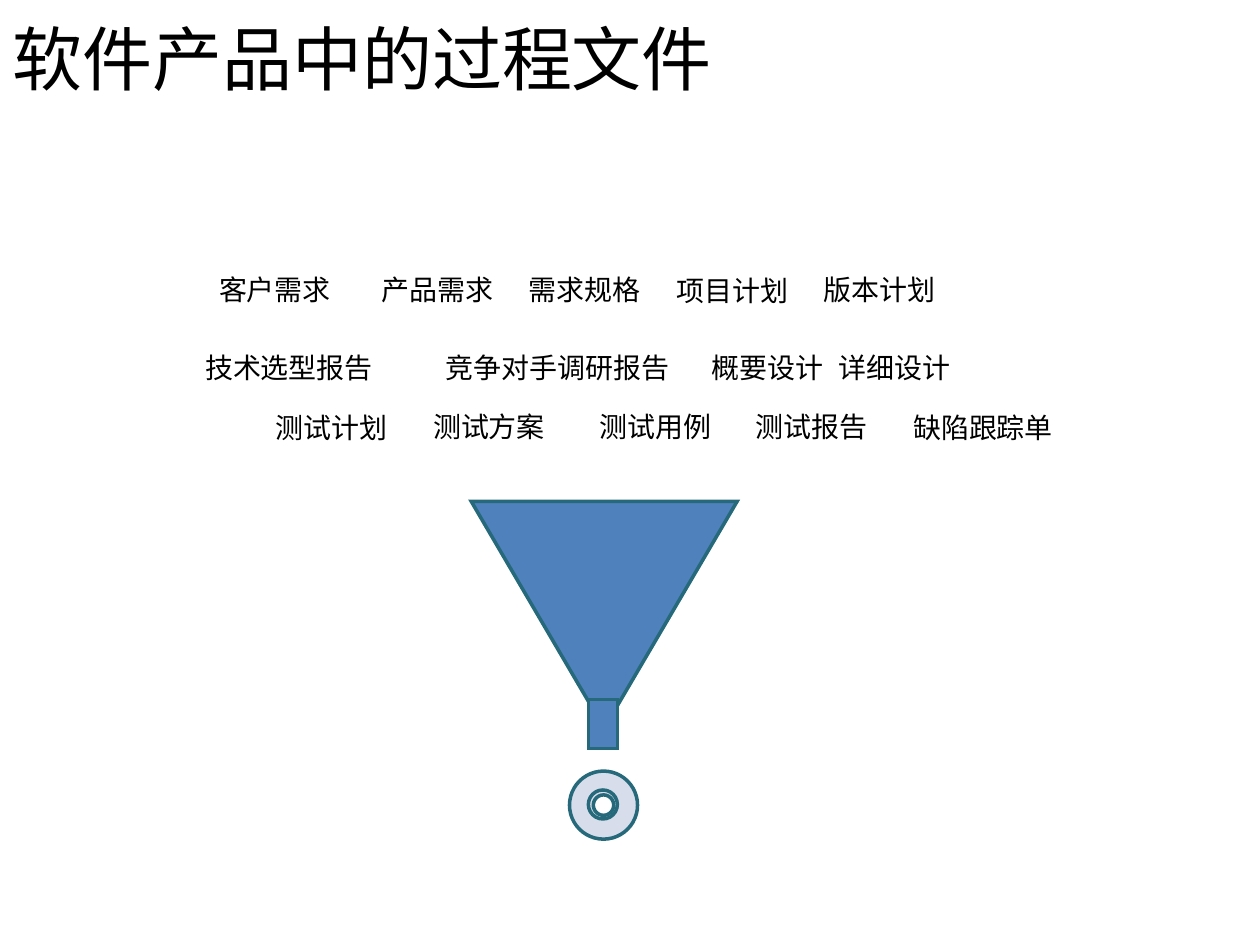
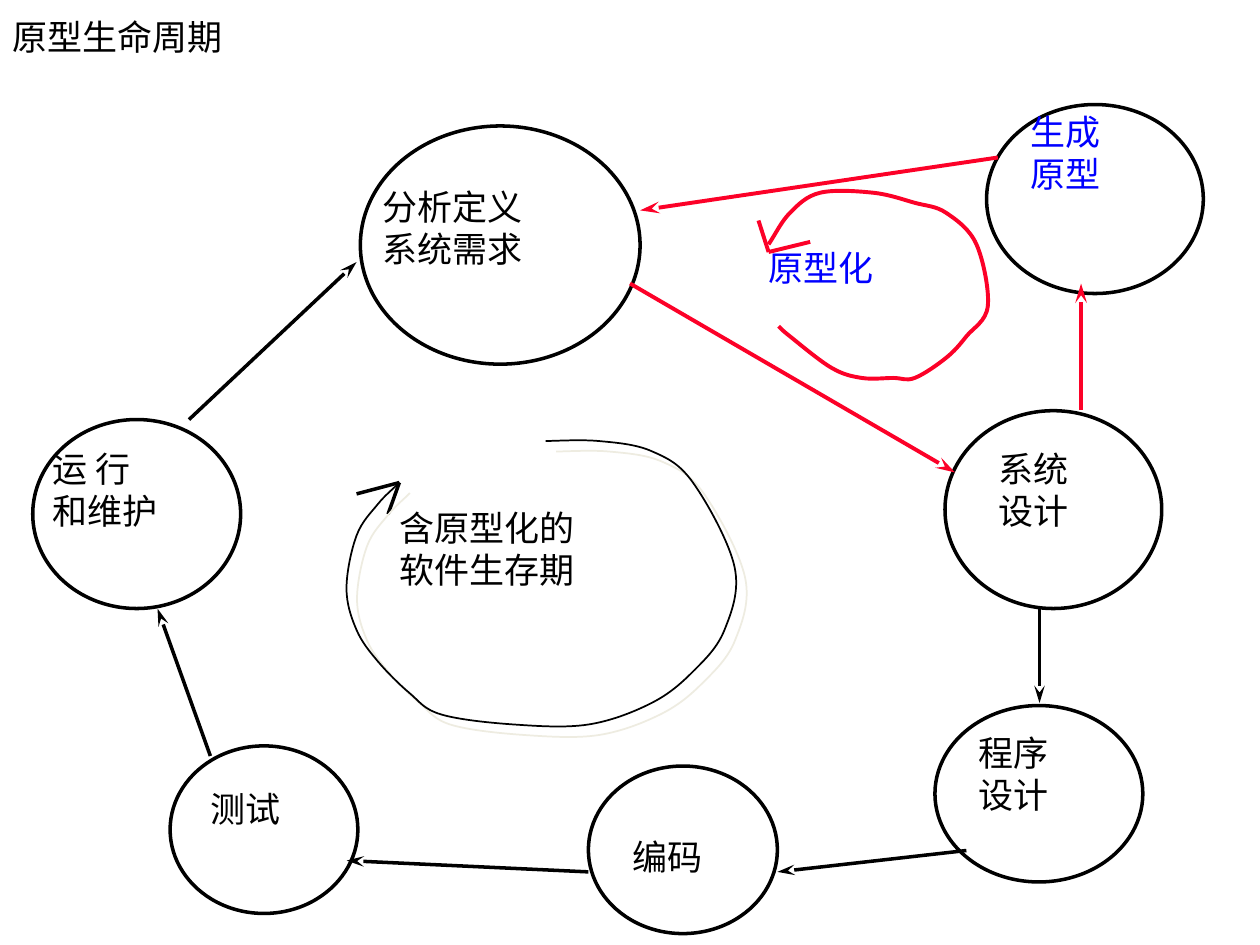
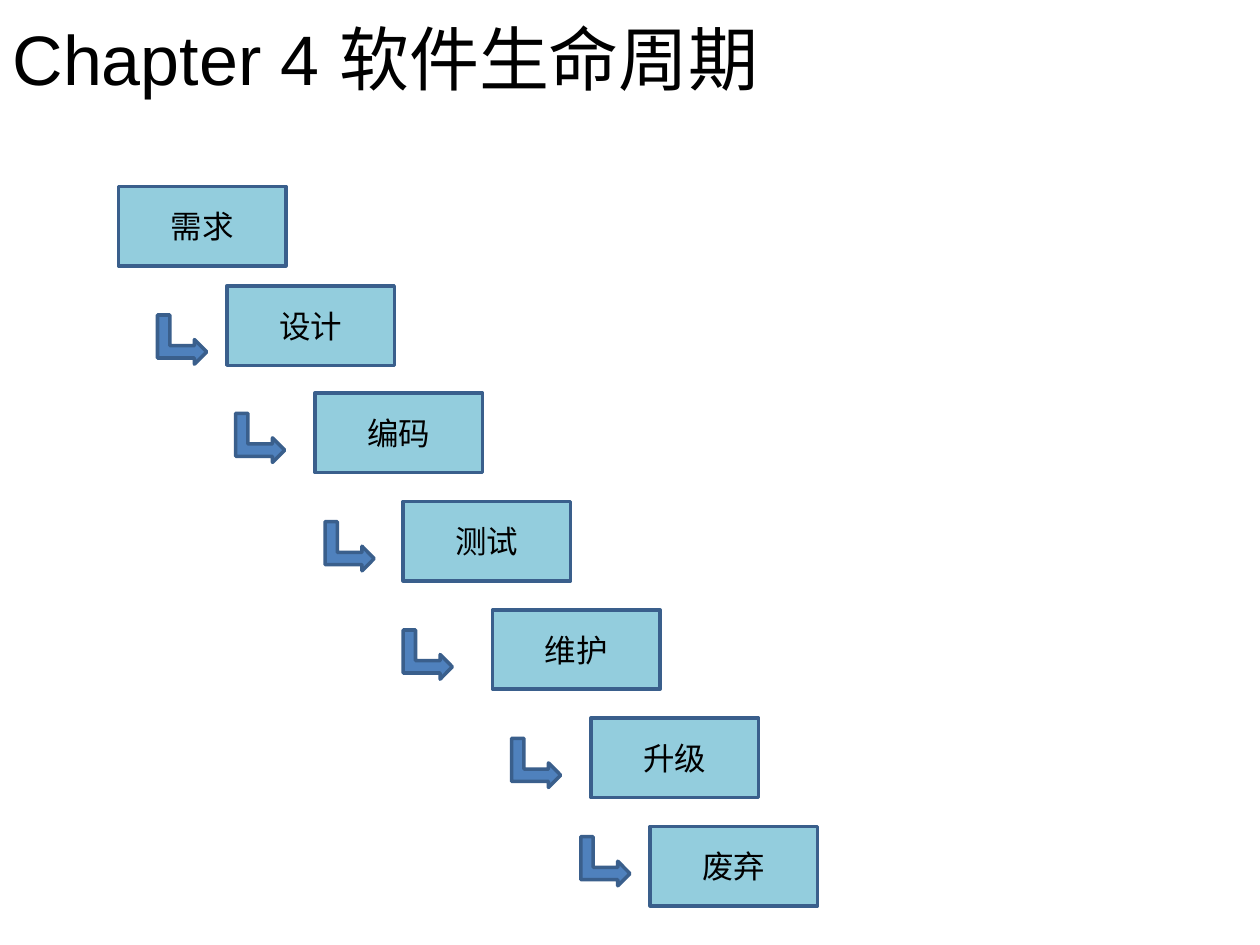
from dataclasses import dataclass

from lxml.etree import SubElement
from pptx import Presentation
from pptx.dml.color import RGBColor
from pptx.enum.shapes import MSO_CONNECTOR, MSO_SHAPE
from pptx.enum.text import MSO_ANCHOR, MSO_AUTO_SIZE, PP_ALIGN
from pptx.oxml.ns import qn
from pptx.util import Pt

PX = 9144
INSET_X, INSET_Y = 10, 5
LINE_HEIGHT = 1.2

BLACK = RGBColor(0x00, 0x00, 0x00)
BLUE = RGBColor(0x00, 0x00, 0xFF)
RED = RGBColor(0xFC, 0x01, 0x28)
STEEL = RGBColor(0x4F, 0x81, 0xBD)
TEAL = RGBColor(0x26, 0x69, 0x7A)
NAVY = RGBColor(0x3A, 0x5F, 0x8C)
AQUA = RGBColor(0x93, 0xCD, 0xDD)
DISC = RGBColor(0xD7, 0xDD, 0xEB)
PALE = RGBColor(0xEE, 0xEC, 0xE1)

CALIBRI = "Calibri"
ARIAL = "Arial"
PAGELLA = "TeX Gyre Pagella"
NOTO = "Noto Sans CJK SC"

Point = tuple[int, int]


@dataclass(frozen=True)
class Label:
    text: str
    x: int
    y: int
    color: RGBColor = BLACK
    width: int | None = None


@dataclass(frozen=True)
class Oval:
    x: int
    y: int
    w: int
    h: int


@dataclass(frozen=True)
class Arrow:
    start: Point
    end: Point
    color: RGBColor = BLACK
    weight: float = 2
    head: bool = True


@dataclass(frozen=True)
class Stage:
    name: str
    x: int
    y: int
    arrow: Point | None = None


DOCUMENTS = [
    Label("客户需求", 164, 211),
    Label("产品需求", 293, 211),
    Label("需求规格", 410, 211),
    Label("项目计划", 527, 212),
    Label("版本计划", 644, 211),
    Label("技术选型报告", 153, 273),
    Label("竞争对手调研报告", 344, 273),
    Label("概要设计", 555, 273),
    Label("详细设计", 656, 273),
    Label("测试计划", 209, 321),
    Label("测试方案", 334, 320),
    Label("测试用例", 466, 320),
    Label("测试报告", 590, 320),
    Label("缺陷跟踪单", 715, 321),
]

PHASES = [
    Oval(286, 100, 222, 189),
    Oval(26, 333, 165, 150),
    Oval(783, 83, 172, 150),
    Oval(750, 326, 172, 157),
    Oval(742, 560, 165, 140),
    Oval(135, 592, 149, 133),
    Oval(467, 608, 150, 133),
]

PHASE_LABELS = [
    Label("分析定义\n系统需求", 294, 142),
    Label("生成\n原型", 808, 83, BLUE, width=120),
    Label("系统\n设计", 783, 350),
    Label("程序\n设计", 767, 576),
    Label("编码", 492, 658),
    Label("测试", 157, 620),
    Label("运 行\n和维护", 32, 350),
    Label("原型化", 600, 191, BLUE),
    Label("含原型化的\n软件生存期", 307, 397),
]

ARROWS = [
    Arrow((792, 125), (508, 167), RED, 2.25),
    Arrow((500, 225), (758, 375), RED, 2.25),
    Arrow((858, 325), (858, 225), RED, 2.25),
    Arrow((825, 483), (825, 558)),
    Arrow((767, 675), (617, 692)),
    Arrow((467, 692), (275, 683)),
    Arrow((167, 600), (125, 483)),
    Arrow((150, 333), (283, 208)),
    Arrow((610, 200), (643, 192), RED, 2.25, head=False),
    Arrow((610, 200), (602, 175), RED, 2.25, head=False),
    Arrow((283, 392), (317, 383), head=False),
    Arrow((317, 383), (308, 408), head=False),
]

PROTOTYPE_LOOP = [
    (610, 194), (627, 169), (651, 153), (693, 153), (726, 161), (751, 169),
    (775, 194), (784, 243), (767, 267), (751, 284), (726, 300), (709, 300),
    (684, 300), (660, 292), (627, 267), (618, 259),
]

LIFE_LOOP = [
    (317, 383), (300, 400), (283, 425), (275, 467), (283, 500), (300, 525),
    (325, 550), (350, 567), (408, 575), (467, 575), (517, 558), (550, 533),
    (575, 500), (583, 450), (550, 383), (517, 358), (475, 350), (433, 350),
]

STAGES = [
    Stage("需求", 94, 148),
    Stage("设计", 180, 227, (125, 250)),
    Stage("编码", 250, 312, (187, 328)),
    Stage("测试", 320, 398, (258, 414)),
    Stage("维护", 391, 484, (320, 500)),
    Stage("升级", 469, 570, (406, 586)),
    Stage("废弃", 516, 656, (461, 664)),
]


def px(*values: float) -> list[int]:
    return [round(v * PX) for v in values]


def write(tf, text: str, *, font: str, size: int, color: RGBColor = BLACK,
          align=PP_ALIGN.LEFT, anchor=MSO_ANCHOR.TOP, wrap: bool = True,
          fit=MSO_AUTO_SIZE.NONE) -> None:
    tf.word_wrap = wrap
    tf.auto_size = fit
    tf.vertical_anchor = anchor
    tf.margin_left, tf.margin_top, tf.margin_right, tf.margin_bottom = px(
        INSET_X, INSET_Y, INSET_X, INSET_Y)
    east_asian = NOTO if font == PAGELLA else font
    for i, line in enumerate(text.split("\n")):
        p = tf.paragraphs[0] if i == 0 else tf.add_paragraph()
        p.alignment = align
        p.line_spacing = Pt(size * LINE_HEIGHT)
        r = p.add_run()
        r.text = line
        r.font.size = Pt(size)
        r.font.color.rgb = color
        r.font.name = font
        SubElement(r.font._element, qn("a:ea"), typeface=east_asian)


def add_slide(prs, title: str, font: str, size: int):
    s = prs.slides.add_slide(prs.slide_layouts[5])
    sp = s.shapes.title
    sp.left, sp.top, sp.width, sp.height = px(0, 7, 900, 72)
    write(sp.text_frame, title, font=font, size=size)
    return s


def add_label(shapes, label: Label, font: str, size: int) -> None:
    lines = label.text.split("\n")
    em = size * 100 / 72
    width = label.width or max(map(len, lines)) * em + 2 * INSET_X
    height = len(lines) * em * LINE_HEIGHT + 2 * INSET_Y
    sp = shapes.add_textbox(*px(label.x, label.y, width, height))
    write(sp.text_frame, label.text, font=font, size=size, color=label.color,
          wrap=label.width is not None, fit=MSO_AUTO_SIZE.SHAPE_TO_FIT_TEXT)


def style(sp, fill: RGBColor | None, line: RGBColor, weight: float) -> None:
    sp.shadow.inherit = False
    if fill is None:
        sp.fill.background()
    else:
        sp.fill.solid()
        sp.fill.fore_color.rgb = fill
    sp.line.color.rgb = line
    sp.line.width = Pt(weight)


def add_figure(shapes, kind: MSO_SHAPE, x: int, y: int, w: int, h: int, *,
               fill: RGBColor | None = None, line: RGBColor = BLACK,
               sharp: bool = False):
    sp = shapes.add_shape(kind, *px(x, y, w, h))
    style(sp, fill, line, 2)
    if sharp:
        SubElement(sp.line._get_or_add_ln(), qn("a:miter"), lim="800000")
    return sp


def add_arrow(shapes, arrow: Arrow) -> None:
    cxn = shapes.add_connector(MSO_CONNECTOR.STRAIGHT, *px(*arrow.start, *arrow.end))
    cxn.line.color.rgb = arrow.color
    cxn.line.width = Pt(arrow.weight)
    if arrow.head:
        SubElement(cxn.line._get_or_add_ln(), qn("a:tailEnd"),
                   type="stealth", w="med", len="lg")
    SubElement(cxn._element.spPr, qn("a:effectLst"))


def smooth_outline(sp) -> None:
    outline = next(sp._element.iter(qn("a:path")))
    knots = [(int(pt.get("x")), int(pt.get("y"))) for pt in outline.iter(qn("a:pt"))]
    for segment in outline.findall(qn("a:lnTo")):
        outline.remove(segment)
    (x0, y0), (x1, y1) = knots[:2]
    padded = [(2 * x0 - x1, 2 * y0 - y1), *knots, knots[-1]]
    for a, b, c, d in zip(padded, padded[1:], padded[2:], padded[3:]):
        leave = [q + (r - p) / 6 for p, q, r in zip(a, b, c)]
        arrive = [r - (s - q) / 6 for q, r, s in zip(b, c, d)]
        curve = SubElement(outline, qn("a:cubicBezTo"))
        for x, y in (leave, arrive, c):
            SubElement(curve, qn("a:pt"), x=str(round(x)), y=str(round(y)))


def add_loop(shapes, points: list[Point], color: RGBColor, weight: float):
    start, *rest = [px(*point) for point in points]
    builder = shapes.build_freeform(*start)
    builder.add_line_segments(rest, close=False)
    sp = builder.convert_to_shape()
    smooth_outline(sp)
    style(sp, None, color, weight)
    return sp


def add_pale_shadow(sp) -> None:
    effects = sp._element.spPr.find(qn("a:effectLst"))
    shadow = SubElement(effects, qn("a:outerShdw"), dist=str(Pt(8.5)),
                        dir="2700000", algn="ctr", rotWithShape="0")
    SubElement(shadow, qn("a:srgbClr"), val=str(PALE))


def build_documents(prs) -> None:
    s = add_slide(prs, "软件产品中的过程文件", CALIBRI, 40)
    for label in DOCUMENTS:
        add_label(s.shapes, label, PAGELLA, 16)
    funnel = s.shapes.add_group_shape().shapes
    add_figure(funnel, MSO_SHAPE.FLOWCHART_MERGE, 374, 398, 211, 180,
               fill=STEEL, line=TEAL, sharp=True)
    add_figure(funnel, MSO_SHAPE.RECTANGLE, 467, 555, 23, 39,
               fill=STEEL, line=TEAL, sharp=True)
    disc = s.shapes.add_group_shape().shapes
    ring = add_figure(disc, MSO_SHAPE.DONUT, 452, 612, 54, 54, fill=DISC, line=TEAL)
    ring.adjustments[0] = 0.35
    add_figure(disc, MSO_SHAPE.OVAL, 467, 627, 23, 23, line=TEAL)


def build_prototype_cycle(prs) -> None:
    s = add_slide(prs, "原型生命周期", CALIBRI, 20)
    for oval in PHASES:
        add_figure(s.shapes, MSO_SHAPE.OVAL, oval.x, oval.y, oval.w, oval.h)
    for label in PHASE_LABELS:
        add_label(s.shapes, label, NOTO, 20)
    for arrow in ARROWS:
        add_arrow(s.shapes, arrow)
    add_loop(s.shapes, PROTOTYPE_LOOP, RED, 2.25)
    add_pale_shadow(add_loop(s.shapes, LIFE_LOOP, BLACK, 1))


def build_life_cycle(prs) -> None:
    s = add_slide(prs, "Chapter 4 软件生命周期", ARIAL, 40)
    for stage in STAGES:
        box = add_figure(s.shapes, MSO_SHAPE.RECTANGLE, stage.x, stage.y, 133, 63,
                         fill=AQUA, line=NAVY)
        write(box.text_frame, stage.name, font=CALIBRI, size=18,
              align=PP_ALIGN.CENTER, anchor=MSO_ANCHOR.MIDDLE)
        if stage.arrow:
            bent = add_figure(s.shapes, MSO_SHAPE.BENT_UP_ARROW, *stage.arrow, 39, 39,
                              fill=STEEL, line=NAVY)
            bent.rotation = 90


def main() -> None:
    prs = Presentation()
    prs.slide_width, prs.slide_height = px(1000, 750)
    build_documents(prs)
    build_prototype_cycle(prs)
    build_life_cycle(prs)
    prs.save("out.pptx")


if __name__ == "__main__":
    main()
